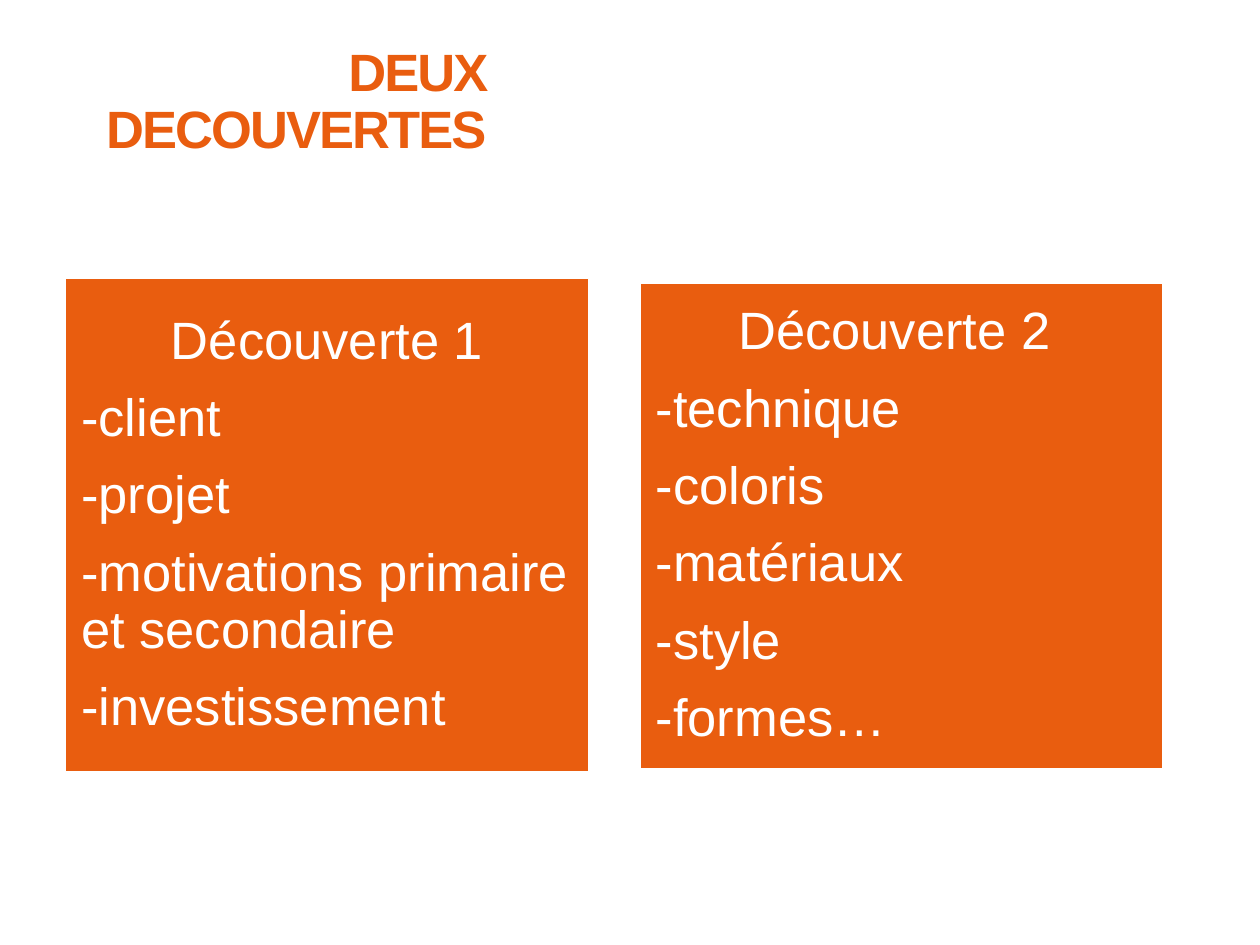
"""Build a slide comparing the two discovery stages of a sale."""
from lxml.etree import SubElement
from pptx import Presentation
from pptx.dml.color import RGBColor
from pptx.enum.text import MSO_ANCHOR, MSO_AUTO_SIZE, PP_ALIGN
from pptx.oxml.ns import qn
from pptx.util import Pt

ORANGE = RGBColor(0xE9, 0x5D, 0x0F)
WHITE = RGBColor(0xFF, 0xFF, 0xFF)


class DiscoverySlide:
    """Hold the text style and the current slide."""

    font, size, leading, gap, inset = "Arial", Pt(30), 0.9, Pt(11.8), Pt(8.9)

    def __init__(self, prs):
        """Start a slide with a title and two lists."""
        self.slide = prs.slides.add_slide(prs.slide_layouts[3])

    def place(self, sp, left, top, width, height, anchor):
        """Position a placeholder and return its text frame."""
        sp.left, sp.top = Pt(left), Pt(top)
        sp.width, sp.height = Pt(width), Pt(height)
        tf = sp.text_frame
        tf.word_wrap = True
        tf.auto_size = MSO_AUTO_SIZE.NONE
        tf.vertical_anchor = anchor
        return tf

    def style(self, p, color, align):
        """Format one paragraph and its runs."""
        p.alignment, p.line_spacing, p.space_before = align, self.leading, Pt(0)
        for r in p.runs:
            r.font.name, r.font.size = self.font, self.size
            r.font.color.rgb = color

    def title(self, text, *box):
        """Write the bold, tightly spaced title."""
        tf = self.place(self.slide.shapes.title, *box, MSO_ANCHOR.BOTTOM)
        tf.text = text
        p = tf.paragraphs[0]
        self.style(p, ORANGE, PP_ALIGN.RIGHT)
        r = p.runs[0]
        r.font.bold = True
        r.font._element.set("spc", "-110")

    def panel(self, idx, lines, *box):
        """Write a filled list with a centred heading."""
        sp = self.slide.placeholders[idx]
        tf = self.place(sp, *box, MSO_ANCHOR.MIDDLE)
        sp.fill.solid()
        sp.fill.fore_color.rgb = ORANGE
        sp.line.color.rgb = WHITE
        sp.line.width = Pt(1)
        tf.margin_left = tf.margin_right = self.inset
        tf.margin_top = tf.margin_bottom = self.inset
        tf.text = "\n".join(lines)
        for i, p in enumerate(tf.paragraphs):
            pPr = p._p.get_or_add_pPr()
            pPr.set("marL", "0")
            pPr.set("indent", "0")
            SubElement(pPr, qn("a:buNone"))
            self.style(p, WHITE, PP_ALIGN.LEFT if i else PP_ALIGN.CENTER)
            p.space_after = self.gap


def main():
    """Create and save the presentation."""
    prs = Presentation()
    prs.slide_width, prs.slide_height = Pt(720), Pt(540)
    s = DiscoverySlide(prs)
    s.title("DEUX DECOUVERTES", 26, -9.4, 259.2, 104.4)
    s.panel(1, ["Découverte 1", "-client", "-projet",
                "-motivations primaire et secondaire", "-investissement"],
            37.5, 159.1, 298.8, 282.2)
    s.panel(2, ["Découverte 2 ", "-technique", "-coloris", "-matériaux",
                "-style", "-formes…"],
            365.8, 162, 298.8, 277.2)
    prs.save("out.pptx")


if __name__ == "__main__":
    main()
